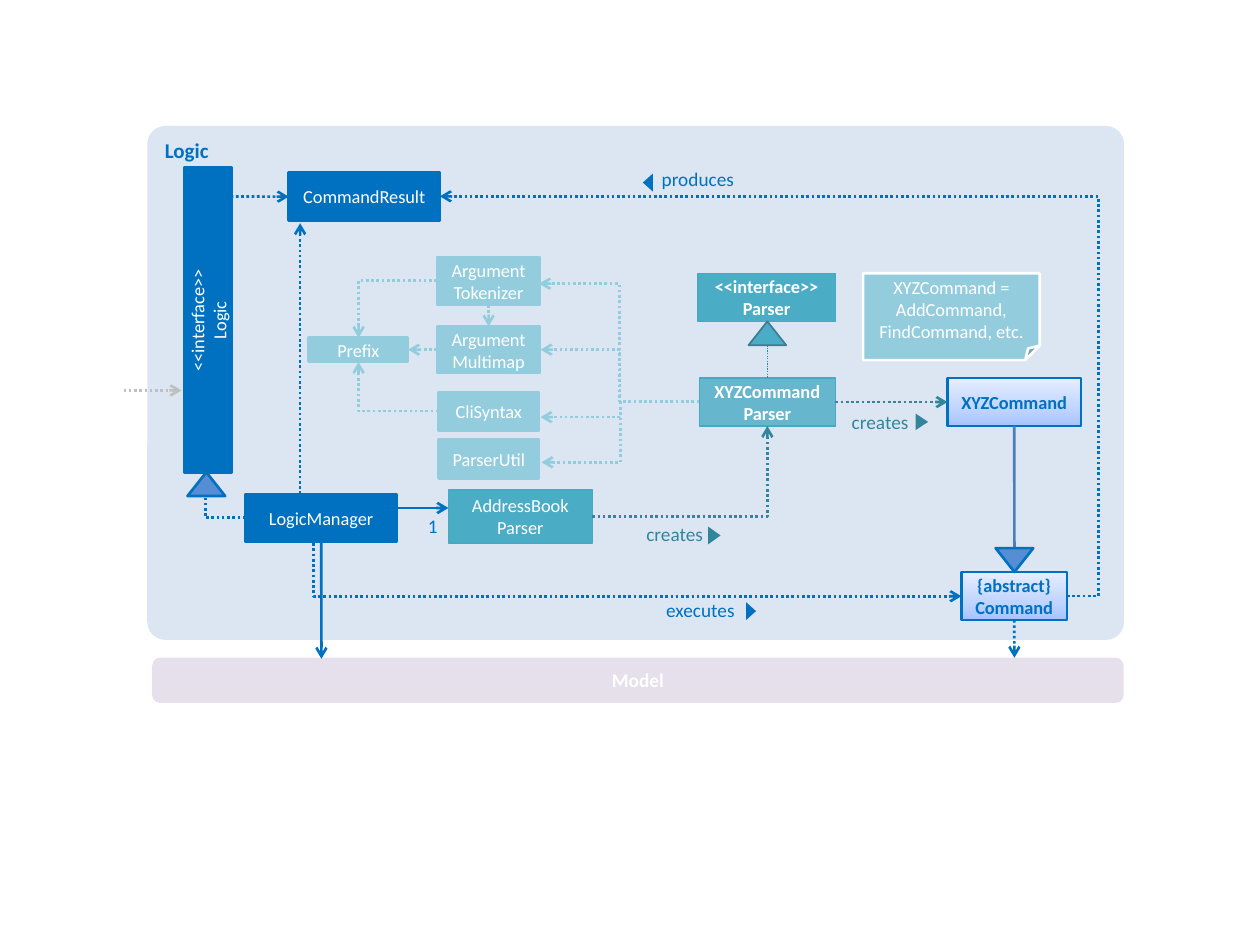
from copy import deepcopy

from lxml import etree
from pptx import Presentation
from pptx.dml.color import RGBColor
from pptx.enum.dml import MSO_LINE
from pptx.enum.shapes import MSO_CONNECTOR, MSO_SHAPE
from pptx.enum.text import MSO_ANCHOR, PP_ALIGN
from pptx.oxml.ns import qn
from pptx.util import Cm, Pt

RECT, ROUND = MSO_SHAPE.RECTANGLE, MSO_SHAPE.ROUNDED_RECTANGLE
TRI, NOTE = MSO_SHAPE.ISOSCELES_TRIANGLE, MSO_SHAPE.FOLDED_CORNER
LINE, ELBOW = MSO_CONNECTOR.STRAIGHT, MSO_CONNECTOR.ELBOW
LEFT, MID, RIGHT = PP_ALIGN.LEFT, PP_ALIGN.CENTER, PP_ALIGN.RIGHT
TOP, CENTRE = MSO_ANCHOR.TOP, MSO_ANCHOR.MIDDLE
DOTS = MSO_LINE.ROUND_DOT
N, W, S, E = range(4)  # connection sites of a rectangle

WHITE = RGBColor(0xFF, 0xFF, 0xFF)
BLUE = RGBColor(0x00, 0x70, 0xC0)
STEEL = RGBColor(0x4B, 0x7E, 0xBC)
SKY = RGBColor(0x55, 0x8E, 0xD5)
PALE = RGBColor(0xDC, 0xE6, 0xF2)
LILAC = RGBColor(0xE6, 0xE0, 0xEC)
TEAL = RGBColor(0x4B, 0xAC, 0xC6)
EDGE = RGBColor(0x46, 0xAA, 0xC5)
DEEP = RGBColor(0x31, 0x85, 0x9C)
DARK = RGBColor(0x37, 0x7F, 0x92)
AQUA = RGBColor(0x93, 0xCD, 0xDD)
GREY = RGBColor(0xBF, 0xBF, 0xBF)
FADE = ((0, RGBColor(0xA4, 0xC4, 0xFF)), (0.35, RGBColor(0xBF, 0xD4, 0xFF)),
        (1, RGBColor(0xE6, 0xEE, 0xFF)))


class Sketch:
    font = "Calibri"

    def __init__(self, slide):
        self.slide = slide
        self.shapes = slide.shapes

    def words(self, frame, text, size, color, bold=False, align=MID):
        """Newlines part paragraphs; vertical tabs part lines."""
        frame.word_wrap = True
        for i, row in enumerate(text.split("\n")):
            para = frame.add_paragraph() if i else frame.paragraphs[0]
            para.alignment = align
            for j, part in enumerate(row.split("\v")):
                if j:
                    para.add_line_break()
                run = para.add_run()
                run.text = part
                run.font.name, run.font.size = self.font, Pt(size)
                run.font.bold, run.font.color.rgb = bold, color

    def shape(self, kind, area, fill, edge=None, width=1.5, turn=0):
        item = self.shapes.add_shape(kind, *map(Cm, area))
        item.shadow.inherit = False
        item.rotation = turn
        if fill is FADE:
            self.fade(item)
        else:
            item.fill.solid()
            item.fill.fore_color.rgb = fill
        if edge is None:
            item.line.fill.background()
        else:
            item.line.color.rgb, item.line.width = edge, Pt(width)
        return item

    def fade(self, item):
        item.fill.gradient()
        item.fill.gradient_angle = 90
        stops = next(item._element.spPr.iter(qn("a:gsLst")))
        stops.insert(1, deepcopy(stops[0]))
        for stop, (place, color) in zip(item.fill.gradient_stops, FADE):
            stop.position, stop.color.rgb = place, color

    def box(self, area, text, fill, edge, width=1.5, color=WHITE, bold=False,
            kind=RECT, turn=0):
        item = self.shape(kind, area, fill, edge, width, turn)
        item.text_frame.vertical_anchor = CENTRE
        self.words(item.text_frame, text, 10.5, color, bold)
        return item

    def panel(self, area, text, fill, curve, size, color, align, anchor):
        item = self.shape(ROUND, area, fill)
        item.adjustments[0] = curve
        item.text_frame.vertical_anchor = anchor
        self.words(item.text_frame, text, size, color, True, align)

    def label(self, area, text, color, align=LEFT):
        frame = self.shapes.add_textbox(*map(Cm, area)).text_frame
        frame.margin_left = frame.margin_right = 0
        frame.margin_top = frame.margin_bottom = 0
        self.words(frame, text, 11, color, align=align)

    def style(self, wire, color, width, dash, arrow):
        wire.line.color.rgb, wire.line.width = color, Pt(width)
        if dash:
            wire.line.dash_style = dash
        if arrow:
            line = wire._element.spPr.find(qn("a:ln"))
            etree.SubElement(line, qn("a:tailEnd"), type="arrow")
        etree.SubElement(wire._element.spPr, qn("a:effectLst"))

    def link(self, start, end, color=BLUE, width=1.5, dash=DOTS, arrow=True):
        """Straight line; an end is a point or a (box, site) pair."""
        ends = [p if isinstance(p[0], (int, float)) else None for p in (start, end)]
        spots = [Cm(n) for p in ends for n in (p or (0, 0))]
        wire = self.shapes.add_connector(LINE, *spots)
        if ends[0] is None:
            wire.begin_connect(*start)
        if ends[1] is None:
            wire.end_connect(*end)
        self.style(wire, color, width, dash, arrow)

    def bend(self, start, end, color=BLUE, turn=None, arrow=True):
        """Elbow with one corner, or two when turn gives the share of the way."""
        wire = self.shapes.add_connector(ELBOW, *map(Cm, start + end))
        geom = wire._element.spPr.find(qn("a:prstGeom"))
        if turn is None:
            geom.set("prst", "bentConnector2")
        else:
            etree.SubElement(geom.find(qn("a:avLst")), qn("a:gd"), name="adj1",
                             fmla=f"val {round(turn * 100000)}")
        self.style(wire, color, 1.5, DOTS, arrow)


def main():
    deck = Presentation()
    deck.slide_width, deck.slide_height = Cm(25.4), Cm(19.05)
    art = Sketch(deck.slides.add_slide(deck.slide_layouts[6]))

    # Panels
    art.panel((2.97, 2.54, 19.69, 10.36), "Logic", PALE, 0.035, 12, BLUE, LEFT, TOP)
    art.panel((3.07, 13.26, 19.58, 0.91), "Model", LILAC, 0.17, 11, WHITE, MID, CENTRE)

    # Core classes
    art.box((1.12, 5.97, 6.15, 0.97), "<<interface>>\nLogic", BLUE, BLUE, turn=270)
    result = art.box((5.82, 3.48, 3.05, 0.97), "CommandResult", BLUE, BLUE)
    boss = art.box((4.95, 9.96, 3.05, 0.97), "LogicManager", BLUE, BLUE)

    # Commands
    xyz = art.box((19.1, 7.62, 2.69, 0.97), "XYZCommand", FADE, BLUE, 1.5, BLUE, True)
    base = art.box((19.38, 11.53, 2.13, 0.97), "{abstract}\vCommand", FADE, BLUE,
                   1.5, BLUE, True)

    # Parsers
    art.box((9.04, 9.88, 2.9, 1.07), "AddressBook\nParser", TEAL, EDGE, 0.75)
    art.box((14.07, 5.51, 2.77, 0.97), "<<interface>>\nParser", TEAL, EDGE, 0.75, bold=True)
    maker = art.box((14.1, 7.62, 2.74, 0.97), "XYZCommand\nParser", TEAL, EDGE, 0.75,
                    bold=True)
    tint = next(maker._element.spPr.iter(qn("a:srgbClr")))
    etree.SubElement(tint, qn("a:alpha"), val="81000")
    art.box((17.4, 5.51, 3.56, 1.75), "XYZCommand = AddCommand, FindCommand, etc.",
            AQUA, WHITE, kind=NOTE)

    # Parsing helpers
    token, multi, prefix, _, _ = [art.box(area, text, AQUA, AQUA) for area, text in (
        ((8.81, 5.18, 2.08, 0.97), "Argument\vTokenizer"),
        ((8.81, 6.58, 2.08, 0.94), "Argument\vMultimap"),
        ((6.22, 6.81, 2.01, 0.48), "Prefix"),
        ((8.84, 7.9, 2.03, 0.79), "CliSyntax"),
        ((8.84, 8.86, 2.03, 0.79), "ParserUtil"))]

    # Straight links
    art.link((4.65, 3.96), (result, W))
    art.link((6.05, 9.96), (6.05, 4.5))
    art.link((2.49, 7.87), (3.66, 7.87), GREY)
    art.link((boss, S), (6.48, 13.28), dash=None)
    art.link((8.03, 10.24), (9.04, 10.24), dash=None)
    art.link((base, S), (20.45, 13.26))
    art.link((xyz, S), (20.45, 11.05), STEEL, dash=None, arrow=False)
    art.link((maker, E), (xyz, W), DEEP)
    art.link((15.47, 6.96), (maker, N), DEEP, 0.75, arrow=False)
    art.link((token, S), (multi, N), AQUA)
    art.link((multi, W), (prefix, E), AQUA)

    # Bent links
    art.bend((21.51, 12.02), (8.87, 3.96), turn=-0.05)
    art.bend((6.32, 10.95), (19.38, 12.02), turn=0)
    art.bend((4.95, 10.44), (4.14, 10), arrow=False)
    art.bend((11.94, 10.41), (15.47, 8.59), DEEP)
    art.bend((8.84, 8.29), (7.23, 7.3), AQUA)
    art.bend((8.81, 5.66), (7.23, 6.81), AQUA)
    for end in ((10.87, 5.72), (10.9, 7.05), (10.9, 8.41), (10.92, 9.32)):
        art.bend((14.1, 8.1), end, AQUA, turn=0.5)

    # Inheritance heads
    for x, y, fill, edge, width, turn in ((3.78, 9.52, SKY, BLUE, 1.5, 0),
                                          (20.07, 11.05, SKY, BLUE, 1.5, 180),
                                          (15.09, 6.48, TEAL, DARK, 1, 0)):
        art.shape(TRI, (x, y, 0.76, 0.48), fill, edge, width, turn)

    # Link names and their pointers
    art.label((8.46, 10.36, 0.36, 0.64), "1", BLUE, RIGHT)
    for area, text, color, align, mark, turn in (
            ((12.78, 12.06, 2.03, 0.64), "executes", BLUE, RIGHT, (14.96, 12.22, 0.36, 0.2), 90),
            ((13.34, 3.38, 2.03, 0.64), "produces", BLUE, LEFT, (12.88, 3.58, 0.36, 0.2), 270),
            ((13.03, 10.52, 1.55, 0.71), "creates", DEEP, LEFT, (14.22, 10.67, 0.36, 0.25), 90),
            ((17.17, 8.28, 1.65, 0.61), "creates", DEEP, LEFT, (18.42, 8.38, 0.33, 0.25), 90)):
        art.label(area, text, color, align)
        art.shape(TRI, mark, color, turn=turn)

    deck.save("out.pptx")


if __name__ == "__main__":
    main()
